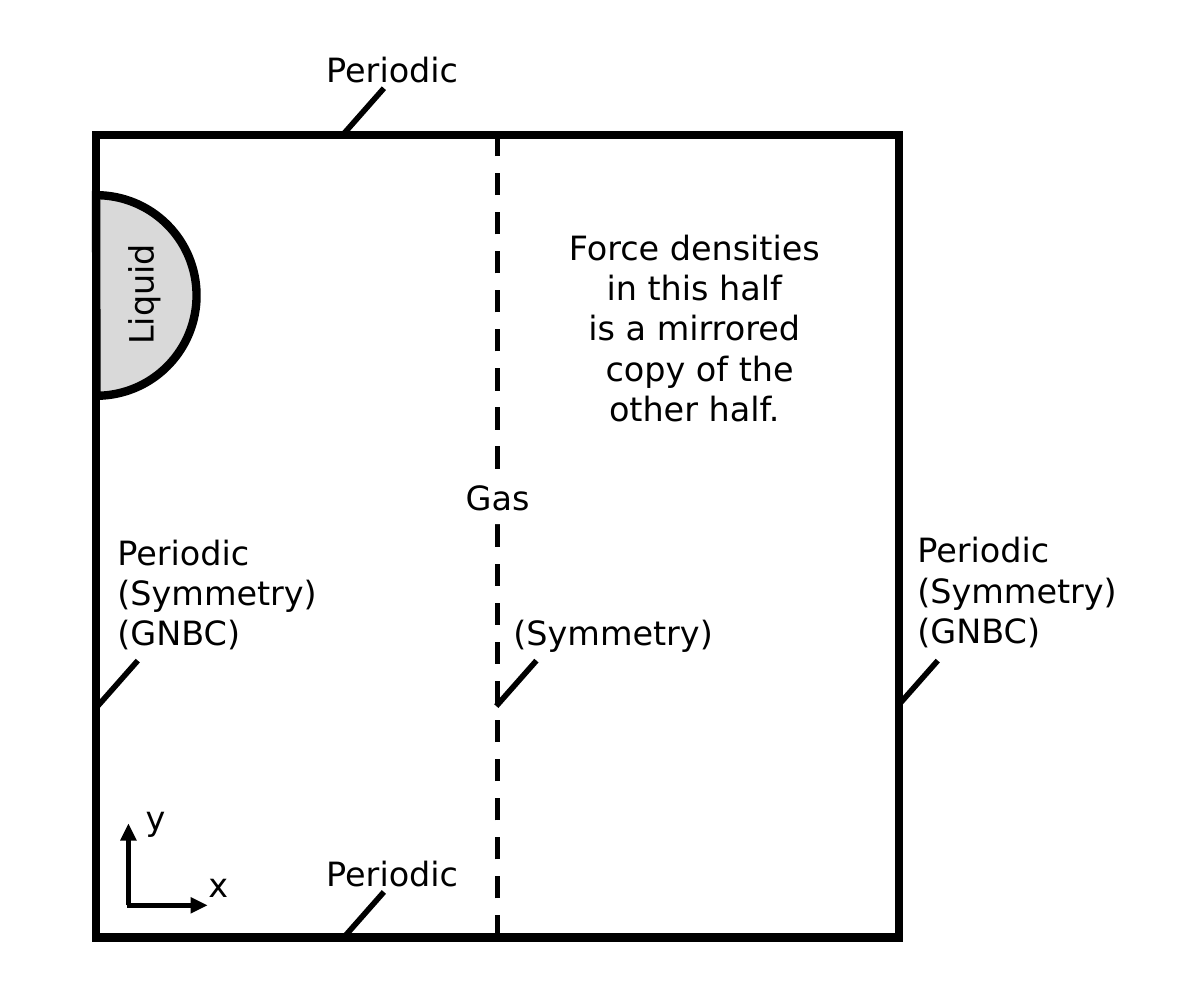
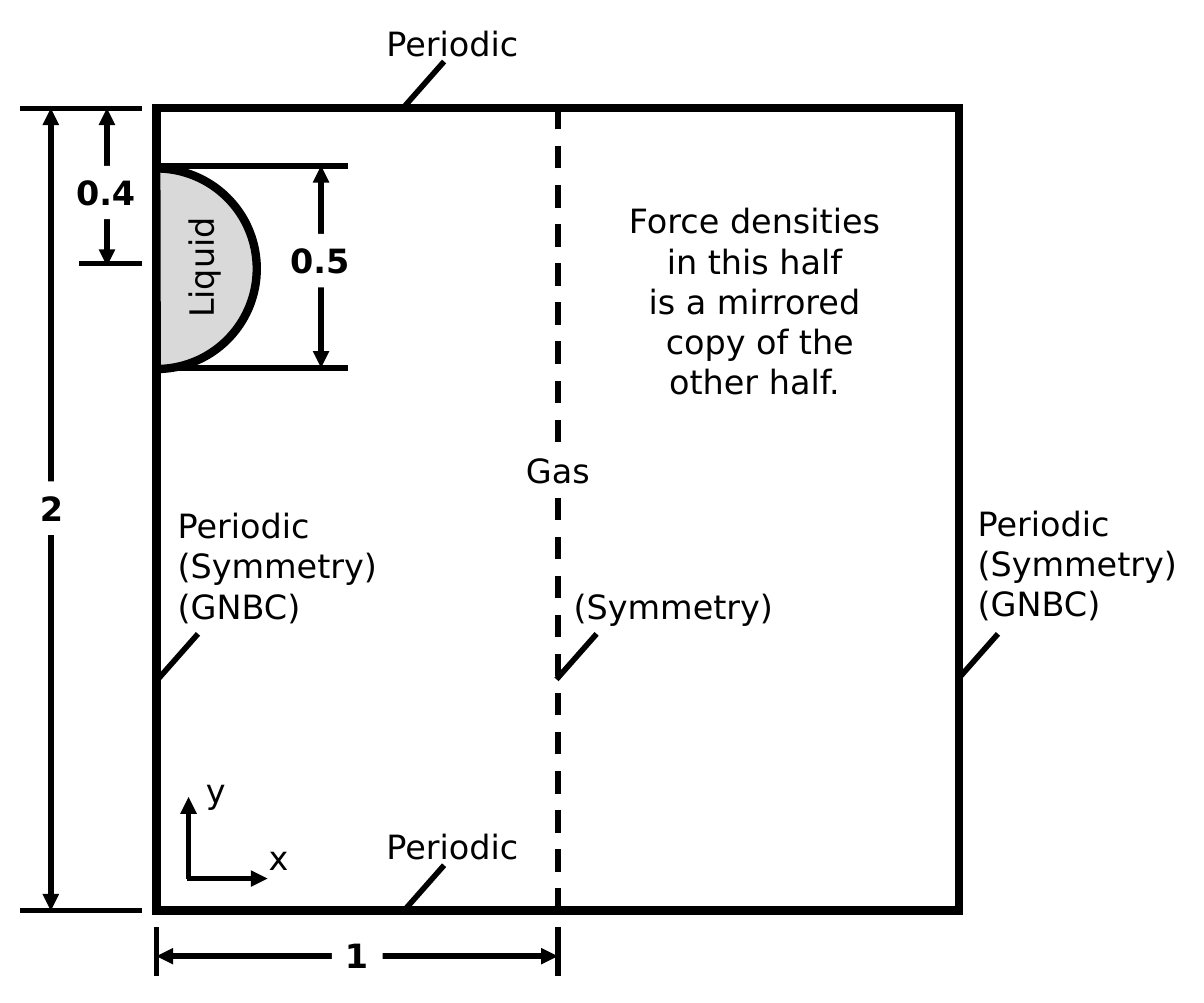
import dataclasses
import typing

import lxml.etree
import pptx
import pptx.dml.color
import pptx.enum.dml
import pptx.enum.shapes
import pptx.enum.text
import pptx.oxml.ns
import pptx.util

BLACK = pptx.dml.color.RGBColor(0x00, 0x00, 0x00)
WHITE = pptx.dml.color.RGBColor(0xFF, 0xFF, 0xFF)
LIQUID_GREY = pptx.dml.color.RGBColor(0xD9, 0xD9, 0xD9)

FONT = "DejaVu Sans"
FONT_SIZE = 18
LINE_HEIGHT = 0.4
OUTLINE_WIDTH = 4.5
LINE_WIDTH = 3

SIDE = 6
MIDDLE = SIDE / 2
DROPLET_SIZE = SIDE / 4
DROPLET_TOP = 0.45
LEADER_RUN, LEADER_RISE = 0.3, 0.34
WALL_CONDITIONS = "Periodic\n(Symmetry)\v(GNBC)"
FORCE_NOTE = ("Force densities \vin this half \vis a mirrored \v"
              "copy of the\vother half. ")

LEFT = pptx.enum.text.PP_ALIGN.LEFT
CENTER = pptx.enum.text.PP_ALIGN.CENTER


@dataclasses.dataclass
class Diagram:
    slide: typing.Any
    left: float
    top: float

    def point(self, x, y):
        return pptx.util.Inches(self.left + x), pptx.util.Inches(self.top + y)

    def box(self, x, y, width, height):
        return (*self.point(x, y), pptx.util.Inches(width), pptx.util.Inches(height))


def add_line_detail(line, tag, **attributes):
    properties = line._get_or_add_ln()
    lxml.etree.SubElement(properties, pptx.oxml.ns.qn(tag), **attributes)


def add_outlined(diagram, kind, x, y, size, fill):
    shape = diagram.slide.shapes.add_shape(kind, *diagram.box(x, y, size, size))
    shape.shadow.inherit = False
    shape.fill.solid()
    shape.fill.fore_color.rgb = fill
    shape.line.color.rgb = BLACK
    shape.line.width = pptx.util.Pt(OUTLINE_WIDTH)
    add_line_detail(shape.line, "a:miter", lim="800000")
    return shape


def add_line(diagram, start, end, dashed=False, head=False, tail=False):
    connector = diagram.slide.shapes.add_connector(
        pptx.enum.shapes.MSO_CONNECTOR.STRAIGHT,
        *diagram.point(*start), *diagram.point(*end))
    connector.line.color.rgb = BLACK
    connector.line.width = pptx.util.Pt(LINE_WIDTH)
    if dashed:
        connector.line.dash_style = pptx.enum.dml.MSO_LINE.DASH
    add_line_detail(connector.line, "a:miter", lim="800000")
    if head:
        add_line_detail(connector.line, "a:headEnd", type="triangle")
    if tail:
        add_line_detail(connector.line, "a:tailEnd", type="triangle")
    lxml.etree.SubElement(connector._element.spPr, pptx.oxml.ns.qn("a:effectLst"))


def add_text(diagram, text, x, y, width, height=LINE_HEIGHT, align=LEFT,
             bold=False, fill=None, rotation=0):
    shape = diagram.slide.shapes.add_textbox(*diagram.box(x, y, width, height))
    shape.rotation = rotation
    if fill is not None:
        shape.fill.solid()
        shape.fill.fore_color.rgb = fill
    frame = shape.text_frame
    frame.word_wrap = False
    frame.auto_size = pptx.enum.text.MSO_AUTO_SIZE.SHAPE_TO_FIT_TEXT
    frame.text = text
    for paragraph in frame.paragraphs:
        paragraph.alignment = align
        for run in paragraph.runs:
            run.font.name = FONT
            run.font.size = pptx.util.Pt(FONT_SIZE)
            run.font.bold = bold
            run.font.color.rgb = BLACK


def add_leader(diagram, x, y):
    add_line(diagram, (x + LEADER_RUN, y - LEADER_RISE), (x, y))


def add_axes(diagram):
    x, y, length = 0.24, 5.76, 0.61
    add_line(diagram, (x, y), (x, y - length), tail=True)
    add_line(diagram, (x - 0.01, y), (x + length - 0.02, y), tail=True)
    add_text(diagram, "x", 0.74, 5.4, 0.35)
    add_text(diagram, "y", 0.27, 4.9, 0.35)


def add_droplet(diagram):
    droplet = add_outlined(diagram, pptx.enum.shapes.MSO_SHAPE.PIE,
                           -DROPLET_SIZE / 2, DROPLET_TOP, DROPLET_SIZE, LIQUID_GREY)
    droplet.adjustments[0] = 161.94
    droplet.adjustments[1] = 53.9
    add_text(diagram, "Liquid", -0.15, 0.99, 0.96, align=CENTER, rotation=270)


def add_boundaries(diagram):
    for wall in (SIDE, -0.01):
        add_text(diagram, "Periodic", 1.62, wall - 0.68, 1.19)
        add_leader(diagram, 1.85, wall)
    add_text(diagram, WALL_CONDITIONS, 0.06, 2.92, 1.74, 1.01)
    add_text(diagram, WALL_CONDITIONS, SIDE + 0.04, 2.9, 1.74, 1.01)
    add_text(diagram, "(Symmetry)", MIDDLE + 0.02, 3.52, 1.74)
    for wall in (0.01, MIDDLE - 0.01, SIDE - 0.01):
        add_leader(diagram, wall, 4.27)


def add_domain(diagram):
    add_outlined(diagram, pptx.enum.shapes.MSO_SHAPE.RECTANGLE, 0, 0, SIDE, WHITE)
    add_line(diagram, (MIDDLE, SIDE), (MIDDLE, -0.01), dashed=True)
    add_axes(diagram)
    add_text(diagram, "Gas", MIDDLE - 0.34, 2.51, 0.68, align=CENTER, fill=WHITE)
    add_droplet(diagram)
    add_boundaries(diagram)
    add_text(diagram, FORCE_NOTE, 3.42, 0.64, 2.18, 1.62, align=CENTER)


def add_dimension(diagram, text, start, end, ticks, label):
    add_line(diagram, start, end, head=True, tail=True)
    for tick in ticks:
        add_line(diagram, *tick)
    x, y, width = label
    add_text(diagram, text, x, y, width, bold=True, fill=WHITE)


def add_dimensions(diagram):
    outside = -0.11
    droplet_top, droplet_bottom = DROPLET_TOP - 0.02, DROPLET_TOP + DROPLET_SIZE - 0.01
    add_dimension(diagram, "2", (-0.79, 0), (-0.79, SIDE),
                  [((outside, y), (-1.02, y)) for y in (0, SIDE)],
                  (-0.97, 2.79, 0.38))
    add_dimension(diagram, "0.4", (-0.37, 1.18), (-0.37, 0),
                  [((outside, 1.16), (-0.58, 1.16))],
                  (-0.7, 0.43, 0.65))
    add_dimension(diagram, "0.5", (1.23, droplet_bottom), (1.23, droplet_top),
                  [((1.43, y), (0, y)) for y in (droplet_bottom, droplet_top)],
                  (0.9, 0.94, 0.65))
    add_dimension(diagram, "1", (MIDDLE, 6.34), (0, 6.34),
                  [((x, 6.12), (x, 6.49)) for x in (0, MIDDLE)],
                  (1.31, 6.13, 0.38))


def add_diagram(presentation, left, top):
    blank = presentation.slide_layouts[6]
    diagram = Diagram(presentation.slides.add_slide(blank), left, top)
    add_domain(diagram)
    return diagram


def main():
    presentation = pptx.Presentation()
    presentation.slide_width = pptx.util.Inches(9)
    presentation.slide_height = pptx.util.Inches(7.5)
    add_diagram(presentation, 0.72, 1.01)
    add_dimensions(add_diagram(presentation, 1.17, 0.81))
    presentation.save("out.pptx")


main()
